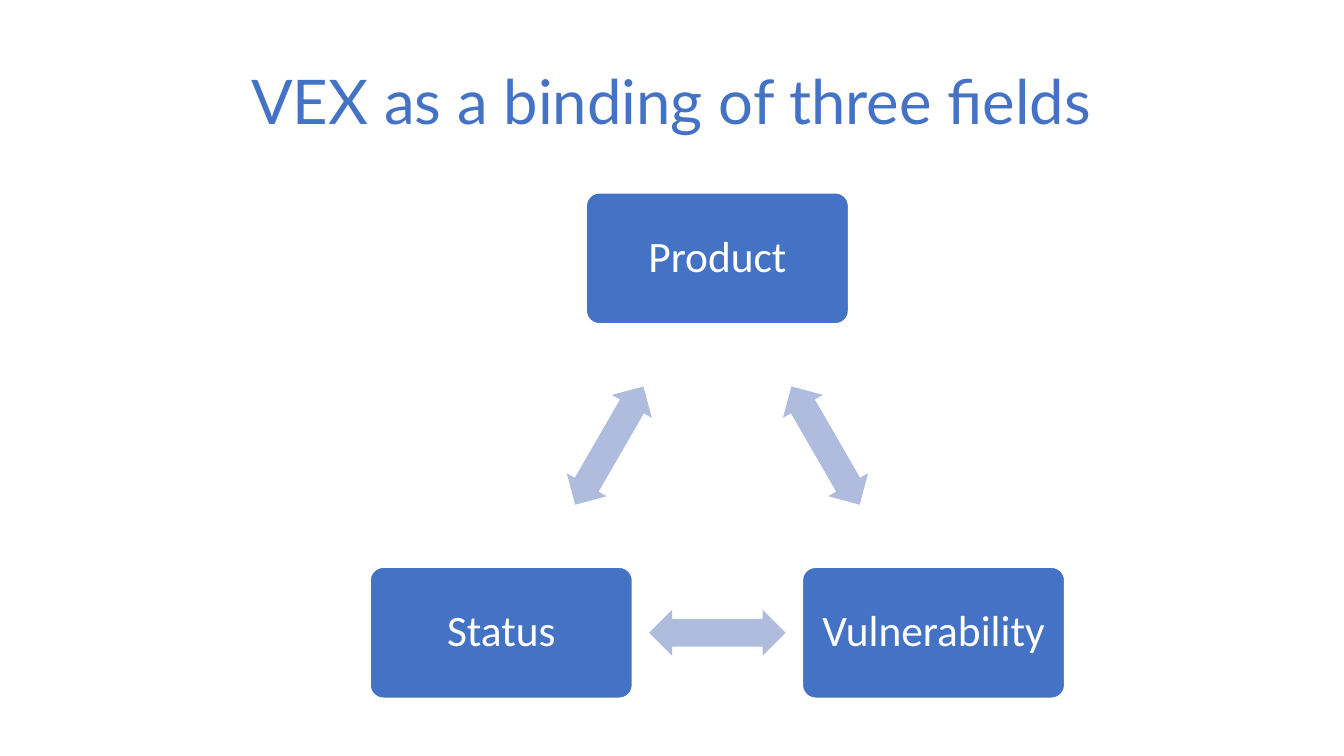
from math import cos, radians, sin

from pptx import Presentation
from pptx.dml.color import RGBColor
from pptx.enum.shapes import MSO_SHAPE
from pptx.enum.text import MSO_ANCHOR, PP_ALIGN
from pptx.util import Cm, Pt

TITLE = "VEX as a binding of three fields"
FIELDS = ["Product", "Vulnerability", "Status"]  # clockwise from the top
COLOURS = {"blue": "4472C4", "pale": "B0BCDE", "white": "FFFFFF"}

# Lengths in cm
CENTRE_X, CENTRE_Y, RADIUS = 18.08, 12.8, 6.29
FIELD_SIZE = (6.61, 3.3)
ARROW_SIZE = (3.44, 1.16)
INSET = 0.33
STEP = 360 / len(FIELDS)


def colour(name):
    return RGBColor.from_string(COLOURS[name])


def point_on_cycle(angle, radius):
    """Point at an angle in degrees, clockwise from the top."""
    return (CENTRE_X + radius * sin(radians(angle)),
            CENTRE_Y - radius * cos(radians(angle)))


def add_centred(slide, preset, centre, size, fill):
    (x, y), (width, height) = centre, size
    shape = slide.shapes.add_shape(preset, Cm(x - width / 2), Cm(y - height / 2),
                                   Cm(width), Cm(height))
    shape.shadow.inherit = False
    shape.fill.solid()
    shape.fill.fore_color.rgb = colour(fill)
    return shape


def write_centred(frame, text, font_name, size, fill):
    frame.word_wrap = True
    frame.vertical_anchor = MSO_ANCHOR.MIDDLE
    paragraph = frame.paragraphs[0]
    paragraph.text = text
    paragraph.alignment = PP_ALIGN.CENTER
    paragraph.line_spacing = 0.9
    paragraph.font.name = font_name
    paragraph.font.size = Pt(size)
    paragraph.font.color.rgb = colour(fill)


def add_field(slide, name, angle):
    field = add_centred(slide, MSO_SHAPE.ROUNDED_RECTANGLE,
                        point_on_cycle(angle, RADIUS), FIELD_SIZE, "blue")
    field.adjustments[0] = 0.1
    field.line.color.rgb = colour("white")
    field.line.width = Pt(1)
    frame = field.text_frame
    frame.margin_left = frame.margin_right = Cm(INSET)
    frame.margin_top = frame.margin_bottom = Cm(INSET)
    write_centred(frame, name, "Calibri", 31, "white")


def add_binding(slide, angle):
    """Double arrow halfway between two neighbouring fields."""
    midpoint = point_on_cycle(angle, RADIUS * cos(radians(STEP / 2)))
    arrow = add_centred(slide, MSO_SHAPE.LEFT_RIGHT_ARROW, midpoint, ARROW_SIZE, "pale")
    arrow.adjustments[0] = 0.6
    arrow.adjustments[1] = 0.5
    arrow.line.fill.background()
    arrow.rotation = angle


def main():
    presentation = Presentation()
    presentation.slide_width, presentation.slide_height = Cm(33.87), Cm(19.05)
    slide = presentation.slides.add_slide(presentation.slide_layouts[5])

    title = slide.shapes.title
    title.left, title.top, title.width, title.height = Cm(2.46), Cm(0.43), Cm(28.93), Cm(4.42)
    write_centred(title.text_frame, TITLE, "Lato", 44, "blue")

    for position, name in enumerate(FIELDS):
        add_field(slide, name, position * STEP)
        add_binding(slide, (position + 0.5) * STEP)

    presentation.save("out.pptx")


if __name__ == "__main__":
    main()
